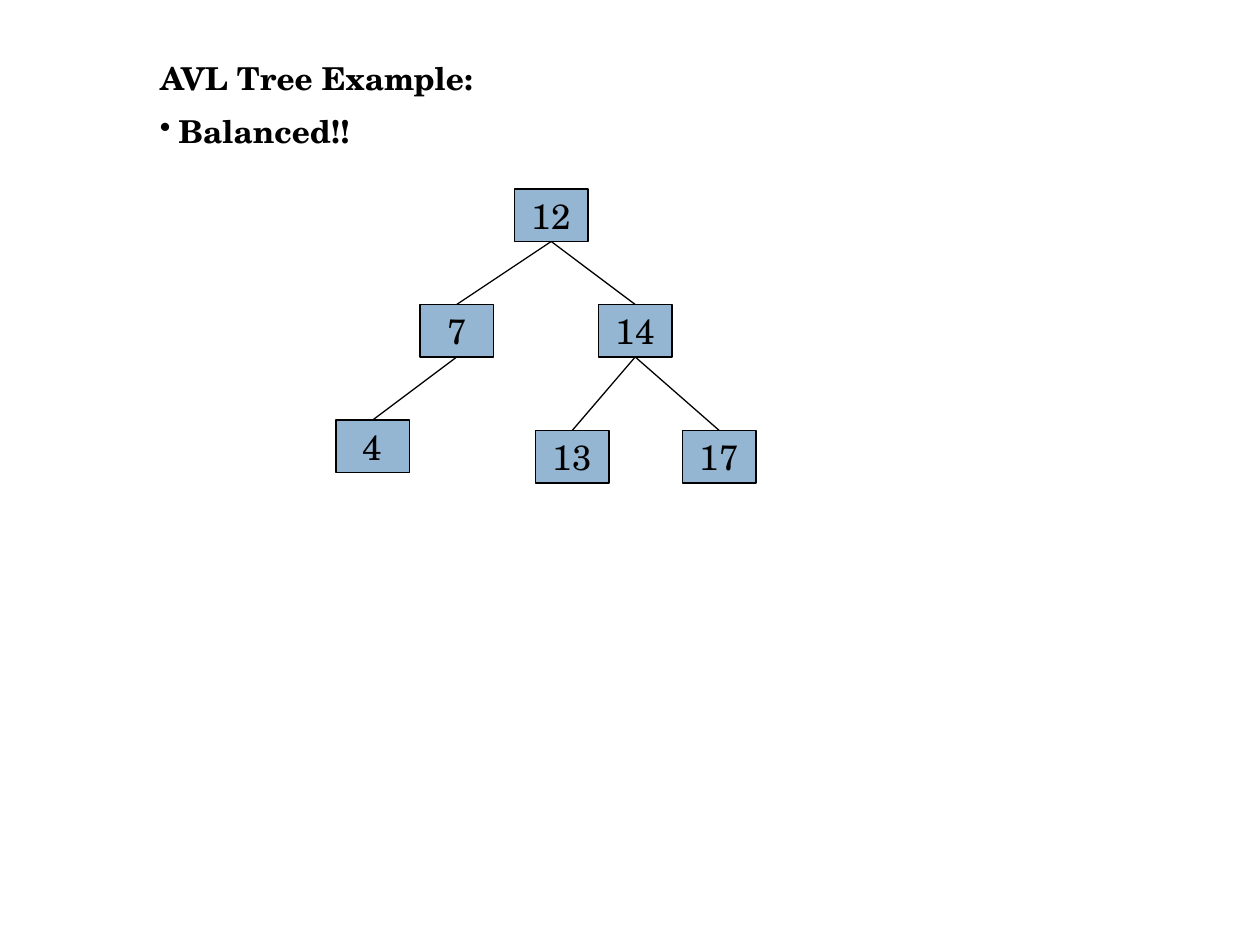
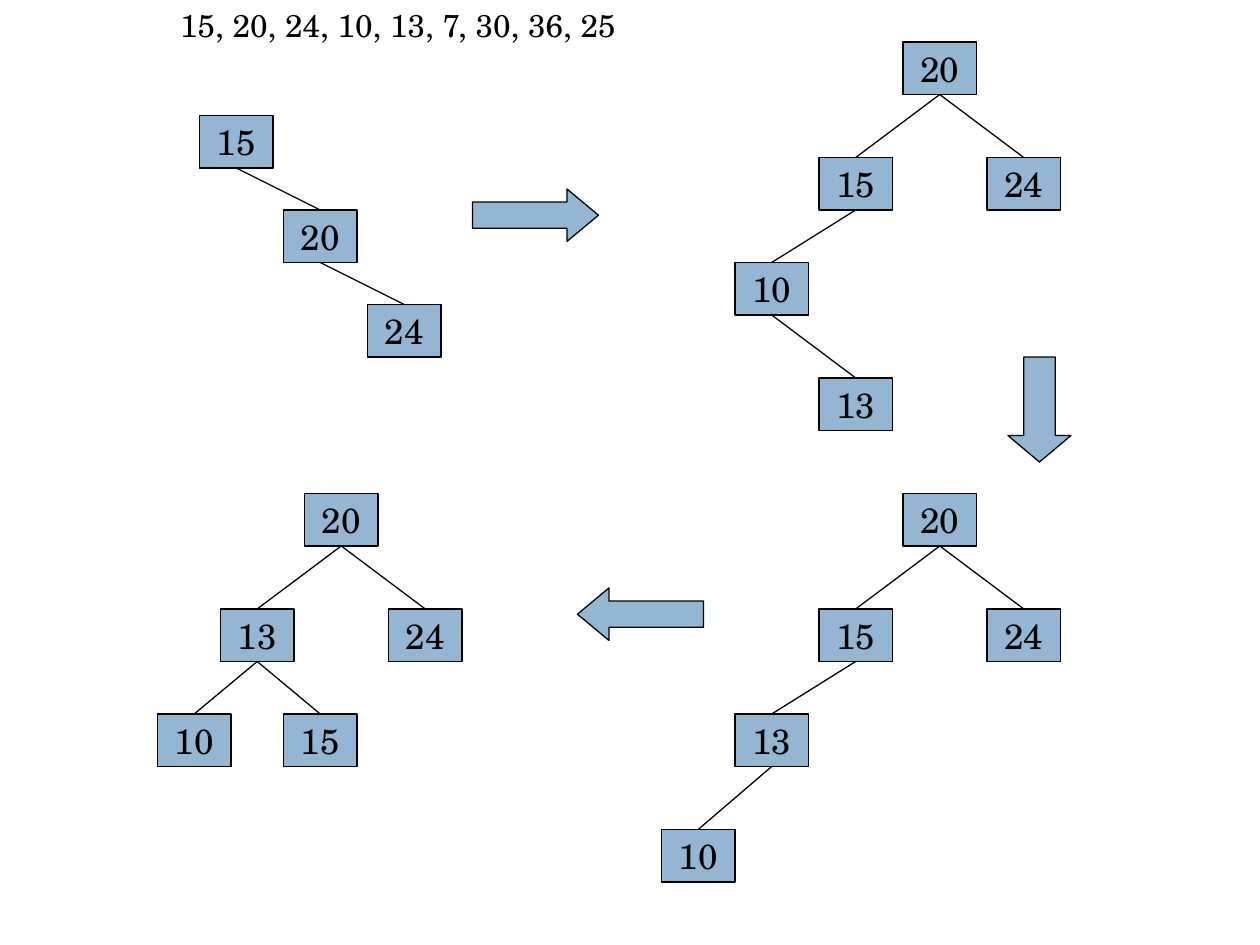
from dataclasses import dataclass

from lxml import etree
from pptx import Presentation
from pptx.dml.color import RGBColor
from pptx.enum.shapes import MSO_CONNECTOR, MSO_SHAPE
from pptx.enum.text import MSO_ANCHOR, MSO_AUTO_SIZE, PP_ALIGN
from pptx.oxml.ns import qn
from pptx.shapes.autoshape import Shape
from pptx.slide import Slide
from pptx.text.text import TextFrame, _Paragraph
from pptx.util import Inches, Length, Pt

RECTANGLE = MSO_SHAPE.RECTANGLE
RIGHT_ARROW = MSO_SHAPE.RIGHT_ARROW
DOWN_ARROW = MSO_SHAPE.DOWN_ARROW
LEFT_ARROW = MSO_SHAPE.LEFT_ARROW
STRAIGHT = MSO_CONNECTOR.STRAIGHT
LEFT, CENTER = PP_ALIGN.LEFT, PP_ALIGN.CENTER
TOP, MIDDLE = MSO_ANCHOR.TOP, MSO_ANCHOR.MIDDLE
NO_AUTOFIT = MSO_AUTO_SIZE.NONE
TOP_SIDE, BOTTOM_SIDE = 0, 2
TITLE_ONLY = 5


@dataclass(frozen=True)
class Theme:
    font: str = "TeX Gyre Schola"
    text: RGBColor = RGBColor(0x00, 0x00, 0x00)
    line: RGBColor = RGBColor(0x00, 0x00, 0x00)
    fill: RGBColor = RGBColor(0x94, 0xB6, 0xD2)
    background: RGBColor = RGBColor(0xFF, 0xFF, 0xFF)
    heading_size: Length = Pt(18)
    key_size: Length = Pt(20)
    line_width: Length = Pt(0.75)


@dataclass(frozen=True)
class Node:
    """A tree node, placed in grid units from its parent (a root from the slide corner)."""
    key: int
    across: int
    down: int
    children: tuple["Node", ...] = ()


@dataclass(frozen=True)
class Arrow:
    """A block arrow, in grid units."""
    kind: MSO_SHAPE
    left: int
    top: int
    width: int
    height: int
    head: float


THEME = Theme()
NODE_WIDTH, NODE_HEIGHT = 7, 5

# Trees and arrows
BALANCED_TREE = Node(12, 49, 18, (
    Node(7, -9, 11, (Node(4, -8, 11),)),
    Node(14, 8, 11, (Node(13, -6, 12), Node(17, 8, 12))),
))
INSERTION_STEPS = (
    Node(15, 19, 11, (Node(20, 8, 9, (Node(24, 8, 9),)),)),
    Node(20, 86, 4, (
        Node(15, -8, 11, (Node(10, -8, 10, (Node(13, 8, 11),)),)),
        Node(24, 8, 11),
    )),
    Node(20, 86, 47, (
        Node(15, -8, 11, (Node(13, -8, 10, (Node(10, -7, 11),)),)),
        Node(24, 8, 11),
    )),
    Node(20, 29, 47, (
        Node(13, -8, 11, (Node(10, -6, 10), Node(15, 6, 10))),
        Node(24, 8, 11),
    )),
)
STEP_ARROWS = (
    Arrow(RIGHT_ARROW, 45, 18, 12, 5, 0.6),
    Arrow(DOWN_ARROW, 96, 34, 6, 10, 0.42),
    Arrow(LEFT_ARROW, 55, 56, 12, 5, 0.6),
)


def grid(units: int) -> Length:
    """Twelve grid units make an inch."""
    return Inches(units / 12)


def add_run(paragraph: _Paragraph, text: str, size: Length, bold: bool = False) -> None:
    run = paragraph.add_run()
    run.text = text
    run.font.name = THEME.font
    run.font.size = size
    run.font.bold = bold
    run.font.color.rgb = THEME.text


def format_frame(frame: TextFrame, anchor: MSO_ANCHOR) -> None:
    frame.word_wrap = True
    frame.auto_size = NO_AUTOFIT
    frame.vertical_anchor = anchor
    frame.margin_left = frame.margin_right = Inches(0.1)
    frame.margin_top = frame.margin_bottom = Inches(0.05)


def add_titled_slide(presentation: Presentation, text: str, left: Length, top: Length,
                     width: Length, bold: bool = False) -> Slide:
    slide = presentation.slides.add_slide(presentation.slide_layouts[TITLE_ONLY])
    slide.background.fill.solid()
    slide.background.fill.fore_color.rgb = THEME.background
    title = slide.shapes.title
    title.left, title.top, title.width, title.height = left, top, width, Inches(0.4)
    format_frame(title.text_frame, TOP)
    paragraph = title.text_frame.paragraphs[0]
    paragraph.alignment = LEFT
    add_run(paragraph, text, THEME.heading_size, bold)
    return slide


def add_bullet(slide: Slide, text: str, left: Length, top: Length, width: Length) -> None:
    box = slide.shapes.add_textbox(left, top, width, Inches(0.43))
    format_frame(box.text_frame, TOP)
    paragraph = box.text_frame.paragraphs[0]
    properties = paragraph._p.get_or_add_pPr()
    properties.set("marL", str(Inches(0.15)))
    properties.set("indent", str(-Inches(0.15)))
    etree.SubElement(properties, qn("a:buChar")).set("char", "•")
    add_run(paragraph, text, THEME.heading_size, bold=True)


def add_block(slide: Slide, kind: MSO_SHAPE, left: int, top: int,
              width: int, height: int) -> Shape:
    block = slide.shapes.add_shape(kind, grid(left), grid(top), grid(width), grid(height))
    block.shadow.inherit = False
    block.fill.solid()
    block.fill.fore_color.rgb = THEME.fill
    block.line.color.rgb = THEME.line
    block.line.width = THEME.line_width
    return block


def add_edge(slide: Slide, parent: Shape, child: Shape) -> None:
    edge = slide.shapes.add_connector(STRAIGHT, 0, 0, 0, 0)
    edge.begin_connect(parent, BOTTOM_SIDE)
    edge.end_connect(child, TOP_SIDE)
    edge.line.color.rgb = THEME.line
    edge.line.width = THEME.line_width
    etree.SubElement(edge._element.spPr, qn("a:effectLst"))


def add_tree(slide: Slide, node: Node, left: int = 0, top: int = 0) -> Shape:
    """Draw a node and, below it, its subtrees with their edges."""
    left, top = left + node.across, top + node.down
    block = add_block(slide, RECTANGLE, left, top, NODE_WIDTH, NODE_HEIGHT)
    format_frame(block.text_frame, MIDDLE)
    paragraph = block.text_frame.paragraphs[0]
    paragraph.alignment = CENTER
    add_run(paragraph, str(node.key), THEME.key_size)
    for child in node.children:
        add_edge(slide, block, add_tree(slide, child, left, top))
    return block


def add_arrow(slide: Slide, arrow: Arrow) -> None:
    block = add_block(slide, arrow.kind, arrow.left, arrow.top, arrow.width, arrow.height)
    block.adjustments[0] = 0.5
    block.adjustments[1] = arrow.head


def add_example_slide(presentation: Presentation) -> None:
    left, width = Inches(1.17), Inches(8.42)
    slide = add_titled_slide(presentation, "AVL Tree Example:", left, Inches(0.42),
                             width, bold=True)
    add_bullet(slide, "Balanced!!", left, Inches(0.84), width)
    add_tree(slide, BALANCED_TREE)


def add_insertion_slide(presentation: Presentation) -> None:
    slide = add_titled_slide(presentation, "15, 20, 24, 10, 13, 7, 30, 36, 25",
                             Inches(1.33), Inches(0), Inches(7.67))
    for tree in INSERTION_STEPS:
        add_tree(slide, tree)
    for arrow in STEP_ARROWS:
        add_arrow(slide, arrow)


def main() -> None:
    presentation = Presentation()
    presentation.slide_width = Inches(10)
    presentation.slide_height = Inches(7.5)
    add_example_slide(presentation)
    add_insertion_slide(presentation)
    presentation.save("out.pptx")


if __name__ == "__main__":
    main()
